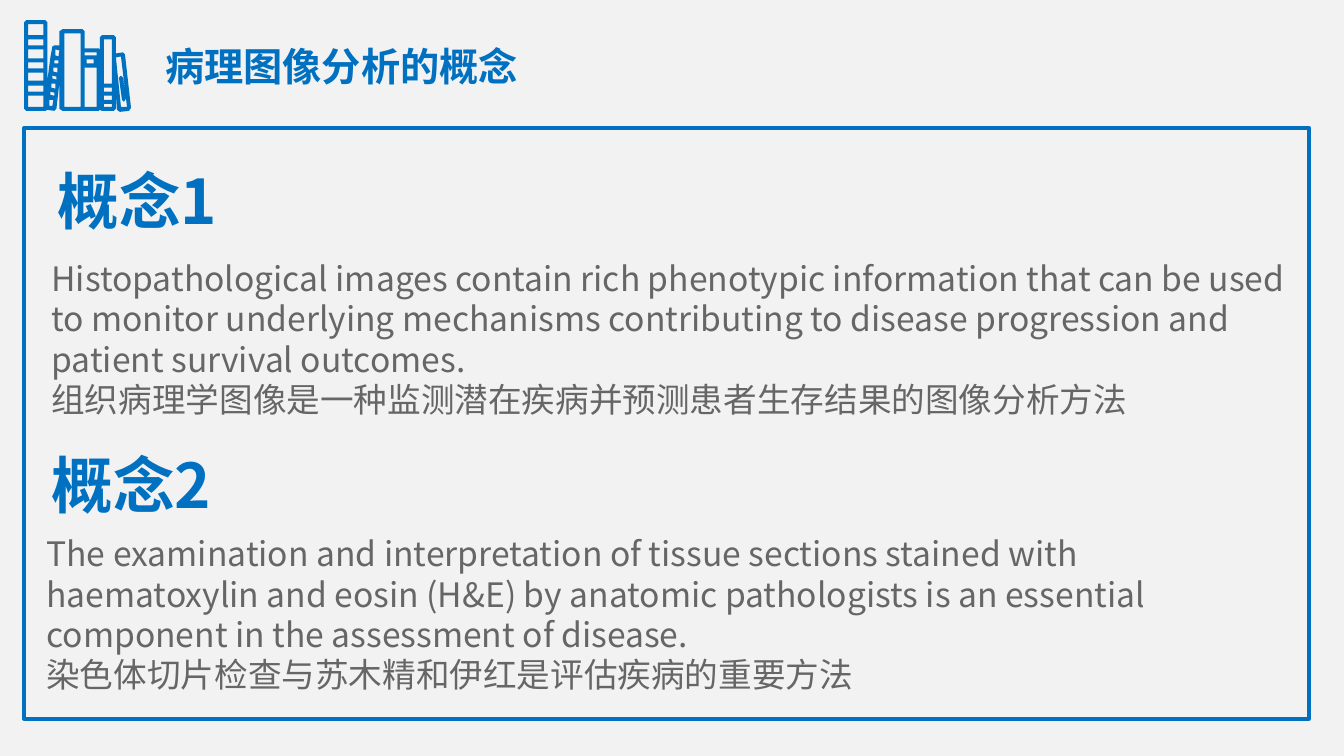
from lxml.etree import SubElement
from pptx import Presentation
from pptx.dml.color import RGBColor
from pptx.enum.shapes import MSO_SHAPE
from pptx.enum.text import MSO_ANCHOR, MSO_AUTO_SIZE, PP_ALIGN
from pptx.oxml.ns import qn
from pptx.util import Inches, Pt

FONT = "Noto Sans CJK SC"
COLORS = {"page": "F2F2F2", "accent": "0070C0", "body": "666666"}
COMPARISON_LAYOUT = 4
HUNDREDTHS_PER_INCH = 100

# Bookshelf icon, in hundredths of an inch
SHELF_OUTLINE = [
    (26, 20), (45, 20), (47, 22), (47, 80), (50, 57), (52, 46), (54, 45),
    (59, 45), (59, 31), (62, 29), (82, 29), (84, 31), (84, 48), (98, 48),
    (99, 49), (99, 37), (101, 35), (113, 35), (115, 37), (115, 53),
    (122, 52), (124, 54), (130, 107), (128, 110), (119, 111), (116, 109),
    (115, 94), (115, 108), (113, 110), (101, 110), (99, 109), (98, 110),
    (62, 110), (59, 108), (59, 82), (56, 108), (54, 110), (47, 109),
    (45, 110), (26, 110), (24, 108), (24, 22),
]
# Left and right edge of an upright book, then top and bottom of its openings
UPRIGHT_BOOKS = [
    (28, 43, [(24, 35), (39, 45), (49, 58), (62, 68), (72, 80), (85, 91), (95, 106)]),
    (64, 80, [(33, 106)]),
    (84, 96, [(52, 55), (67, 106)]),
    (86, 93, [(59, 63)]),
    (103, 111, [(39, 83), (87, 91), (95, 99), (103, 106)]),
]
SLANTED_OPENINGS = [
    [(55, 49), (55, 55), (58, 56), (59, 50)],
    [(54, 60), (54, 63), (58, 63), (58, 60)],
    [(53, 67), (53, 71), (57, 72), (57, 67)],
    [(52, 75), (52, 78), (56, 79), (56, 76)],
    [(51, 83), (51, 87), (55, 88), (55, 83)],
    [(50, 91), (50, 94), (54, 95), (54, 92)],
    [(49, 99), (49, 105), (52, 105), (53, 99)],
    [(120, 56), (115, 57), (120, 106), (126, 106)],
]
SPINE_MARK = [(120, 75), (122, 77), (125, 98), (123, 101), (121, 99), (118, 77)]

TITLE = "病理图像分析的概念"
# Heading, its place, body paragraphs, their place
CONCEPTS = [
    ("概念1", (0.47, 1.57),
     ["Histopathological images contain rich phenotypic information that can be "
      "used to monitor underlying mechanisms contributing to disease progression "
      "and patient survival outcomes.",
      "组织病理学图像是一种监测潜在疾病并预测患者生存结果的图像分析方法"],
     (0.41, 2.51)),
    ("概念2", (0.41, 4.38),
     ["The examination and interpretation of tissue sections stained with "
      "haematoxylin and eosin (H&E) by anatomic pathologists is an essential "
      "component in the assessment of disease.",
      "染色体切片检查与苏木精和伊红是评估疾病的重要方法"],
     (0.36, 5.24)),
]
HEADING_SIZE = (6.56, 0.84)
BODY_SIZE = (12.51, 1.72)


def color(name):
    """Return the named colour."""
    return RGBColor.from_string(COLORS[name])


def fill_text(box, paragraphs, place, extent, size, color_name, bold=False):
    """Move a placeholder and fill it with left-aligned, unbulleted paragraphs."""
    box.left, box.top, box.width, box.height = map(Inches, place + extent)
    frame = box.text_frame
    frame.word_wrap = True
    frame.auto_size = MSO_AUTO_SIZE.NONE
    frame.vertical_anchor = MSO_ANCHOR.TOP
    for index, text in enumerate(paragraphs):
        para = frame.add_paragraph() if index else frame.paragraphs[0]
        para.alignment = PP_ALIGN.LEFT
        para.space_before = para.space_after = Pt(0)
        properties = para._p.get_or_add_pPr()
        properties.set("marL", "0")
        properties.set("indent", "0")
        SubElement(properties, qn("a:buNone"))
        span = para.add_run()
        span.text = text
        span.font.name = FONT
        span.font.size = Pt(size)
        span.font.bold = bold
        span.font.color.rgb = color(color_name)
        SubElement(span.font._element, qn("a:ea"), typeface=FONT)


def add_frame(page, left, top, width, height):
    """Draw the unfilled border around the concepts."""
    frame = page.shapes.add_shape(MSO_SHAPE.RECTANGLE, *map(Inches, (left, top, width, height)))
    frame.shadow.inherit = False
    frame.fill.background()
    frame.line.color.rgb = color("accent")
    frame.line.width = Pt(3)


def add_bookshelf(page):
    """Draw the row of books as one outline with openings."""
    openings = [
        [(left, top), (left, bottom), (right, bottom), (right, top)]
        for left, right, spans in UPRIGHT_BOOKS
        for top, bottom in spans
    ]
    builder = page.shapes.build_freeform(
        *SHELF_OUTLINE[0], scale=Inches(1) / HUNDREDTHS_PER_INCH)
    builder.add_line_segments(SHELF_OUTLINE[1:], close=True)
    for contour in openings + SLANTED_OPENINGS + [SPINE_MARK]:
        builder.move_to(*contour[0])
        builder.add_line_segments(contour[1:], close=True)
    books = builder.convert_to_shape()
    books.shadow.inherit = False
    books.fill.solid()
    books.fill.fore_color.rgb = color("accent")
    books.line.fill.background()


def main():
    """Build and save the slide."""
    deck = Presentation()
    deck.slide_width, deck.slide_height = Inches(13.33), Inches(7.5)
    page = deck.slides.add_slide(deck.slide_layouts[COMPARISON_LAYOUT])
    page.background.fill.solid()
    page.background.fill.fore_color.rgb = color("page")

    title, *boxes = page.placeholders
    fill_text(title, [TITLE], (1.54, 0.37), (3.9, 0.57), 28, "accent", bold=True)
    for concept, heading_box, body_box in zip(CONCEPTS, boxes[::2], boxes[1::2]):
        heading, heading_place, body, body_place = concept
        fill_text(heading_box, [heading], heading_place, HEADING_SIZE, 44, "accent", bold=True)
        fill_text(body_box, body, body_place, BODY_SIZE, 24, "body")

    add_bookshelf(page)
    add_frame(page, 0.24, 1.27, 12.74, 5.86)
    deck.save("out.pptx")


main()
